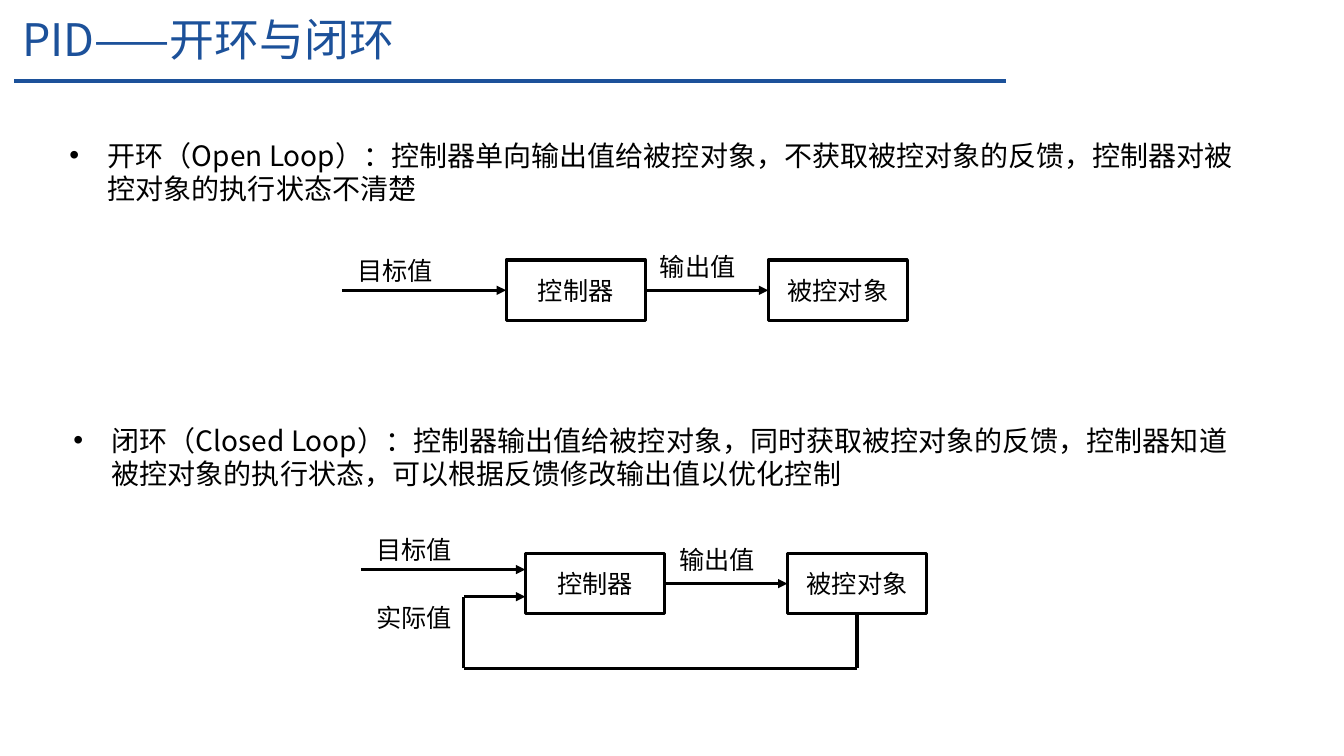
"""Builds a slide comparing open-loop and closed-loop control."""
from lxml import etree
from pptx import Presentation
from pptx.dml.color import RGBColor
from pptx.enum.shapes import MSO_CONNECTOR, MSO_SHAPE
from pptx.enum.text import MSO_ANCHOR, MSO_AUTO_SIZE, PP_ALIGN
from pptx.oxml.ns import qn
from pptx.util import Pt

STRAIGHT, RECT = MSO_CONNECTOR.STRAIGHT, MSO_SHAPE.RECTANGLE
LEFT, CENTER = PP_ALIGN.LEFT, PP_ALIGN.CENTER
TOP, MIDDLE = MSO_ANCHOR.TOP, MSO_ANCHOR.MIDDLE
FIT_SHAPE, NO_FIT = MSO_AUTO_SIZE.SHAPE_TO_FIT_TEXT, MSO_AUTO_SIZE.NONE
SIDE_LEFT, SIDE_BOTTOM, SIDE_RIGHT = 1, 2, 3

TITLE = "PID——开环与闭环"
LOOPS = [
    {"text": "开环（Open Loop）：控制器单向输出值给被控对象，不获取被控对象的反馈，"
             "控制器对被控对象的执行状态不清楚",
     "text_at": (59, 132), "controller_at": (502, 258), "target_drop": 30, "feedback": None},
    {"text": "闭环（Closed Loop）：控制器输出值给被控对象，同时获取被控对象的反馈，"
             "控制器知道被控对象的执行状态，可以根据反馈修改输出值以优化控制",
     "text_at": (63, 415), "controller_at": (521, 549), "target_drop": 16, "feedback": "实际值"},
]
CONTROLLER, PLANT, TARGET, OUTPUT = "控制器", "被控对象", "目标值", "输出值"

COLORS = {"blue": "1C519A", "black": "000000"}
FONT = "Noto Sans CJK SC"
PX = 9144
BLOCK_W, BLOCK_H, PLANT_STEP = 138, 60, 260
LABEL_W, LABEL_H = 106, 40
TARGET_RUN, FEEDBACK_RUN = 163, 61
FEEDBACK_DROP, FEEDBACK_DEPTH = 43, 114
INDENT = 38


def px(*lengths):
    return [length * PX for length in lengths]


def write(shape, text, size, color="black", align=LEFT, anchor=TOP, wrap=True,
          fit=FIT_SHAPE, bullet=False):
    frame = shape.text_frame
    frame.word_wrap, frame.auto_size, frame.vertical_anchor = wrap, fit, anchor
    frame.text = text
    paragraph = frame.paragraphs[0]
    paragraph.alignment = align
    if bullet:
        properties = paragraph._p.get_or_add_pPr()
        properties.set("marL", str(INDENT * PX))
        properties.set("indent", str(-INDENT * PX))
        etree.SubElement(properties, qn("a:buFont"), typeface="Arial")
        etree.SubElement(properties, qn("a:buChar"), char="•")
    font = paragraph.font
    font.size, font.name = Pt(size), FONT
    font.color.rgb = RGBColor.from_string(COLORS[color])
    etree.SubElement(font._element, qn("a:ea"), typeface=FONT)


def draw_line(shapes, start, end, color="black", width=2.25, arrow=False):
    line = shapes.add_connector(STRAIGHT, *px(*start, *end))
    line.line.color.rgb = RGBColor.from_string(COLORS[color])
    line.line.width = Pt(width)
    if arrow:
        etree.SubElement(line.line._get_or_add_ln(), qn("a:tailEnd"), type="triangle")
    etree.SubElement(line._element.spPr, qn("a:effectLst"))
    return line


def draw_block(shapes, text, left, top):
    block = shapes.add_shape(RECT, *px(left, top, BLOCK_W, BLOCK_H))
    block.shadow.inherit = False
    block.fill.background()
    block.line.color.rgb = RGBColor.from_string(COLORS["black"])
    block.line.width = Pt(2.25)
    write(block, text, 18, align=CENTER, anchor=MIDDLE, fit=NO_FIT)
    return block


def draw_label(shapes, text, left, top):
    label = shapes.add_textbox(*px(left, top, LABEL_W, LABEL_H))
    write(label, text, 18, align=CENTER)


def draw_loop(slide, loop):
    description = slide.shapes.add_textbox(*px(*loop["text_at"], 1181, 77))
    write(description, loop["text"], 20, bullet=True)

    shapes = slide.shapes.add_group_shape().shapes
    x, y = loop["controller_at"]
    plant_x, middle = x + PLANT_STEP, y + BLOCK_H // 2
    controller = draw_block(shapes, CONTROLLER, x, y)
    plant = draw_block(shapes, PLANT, plant_x, y)

    output = draw_line(shapes, (x + BLOCK_W, middle), (plant_x, middle), arrow=True)
    output.begin_connect(controller, SIDE_RIGHT)
    output.end_connect(plant, SIDE_LEFT)
    draw_label(shapes, OUTPUT, x + BLOCK_W - 1, y - 14)

    target_x, target_y = x - TARGET_RUN, y + loop["target_drop"]
    target = draw_line(shapes, (target_x, target_y), (x, target_y), arrow=True)
    if target_y == middle:
        target.end_connect(controller, SIDE_LEFT)
    draw_label(shapes, TARGET, target_x, target_y - LABEL_H)

    if loop["feedback"]:
        plant_middle, back_x = plant_x + BLOCK_W // 2, x - FEEDBACK_RUN
        back_y, low_y = y + FEEDBACK_DROP, y + FEEDBACK_DEPTH
        corners = [(plant_middle, y + BLOCK_H), (plant_middle, low_y),
                   (back_x, low_y), (back_x, back_y), (x, back_y)]
        legs = [draw_line(shapes, start, end, arrow=end == corners[-1])
                for start, end in zip(corners, corners[1:])]
        legs[0].begin_connect(plant, SIDE_BOTTOM)
        draw_label(shapes, loop["feedback"], target_x, back_y + 1)


def main():
    deck = Presentation()
    deck.slide_width, deck.slide_height = px(1333, 750)
    slide = deck.slides.add_slide(deck.slide_layouts[5])

    title = slide.shapes.title
    title.left, title.top, title.width, title.height = px(12, 7, 413, 64)
    write(title, TITLE, 32, color="blue", wrap=False)
    draw_line(slide.shapes, (14, 80), (998, 80), color="blue", width=3)

    for loop in LOOPS:
        draw_loop(slide, loop)
    deck.save("out.pptx")


if __name__ == "__main__":
    main()
